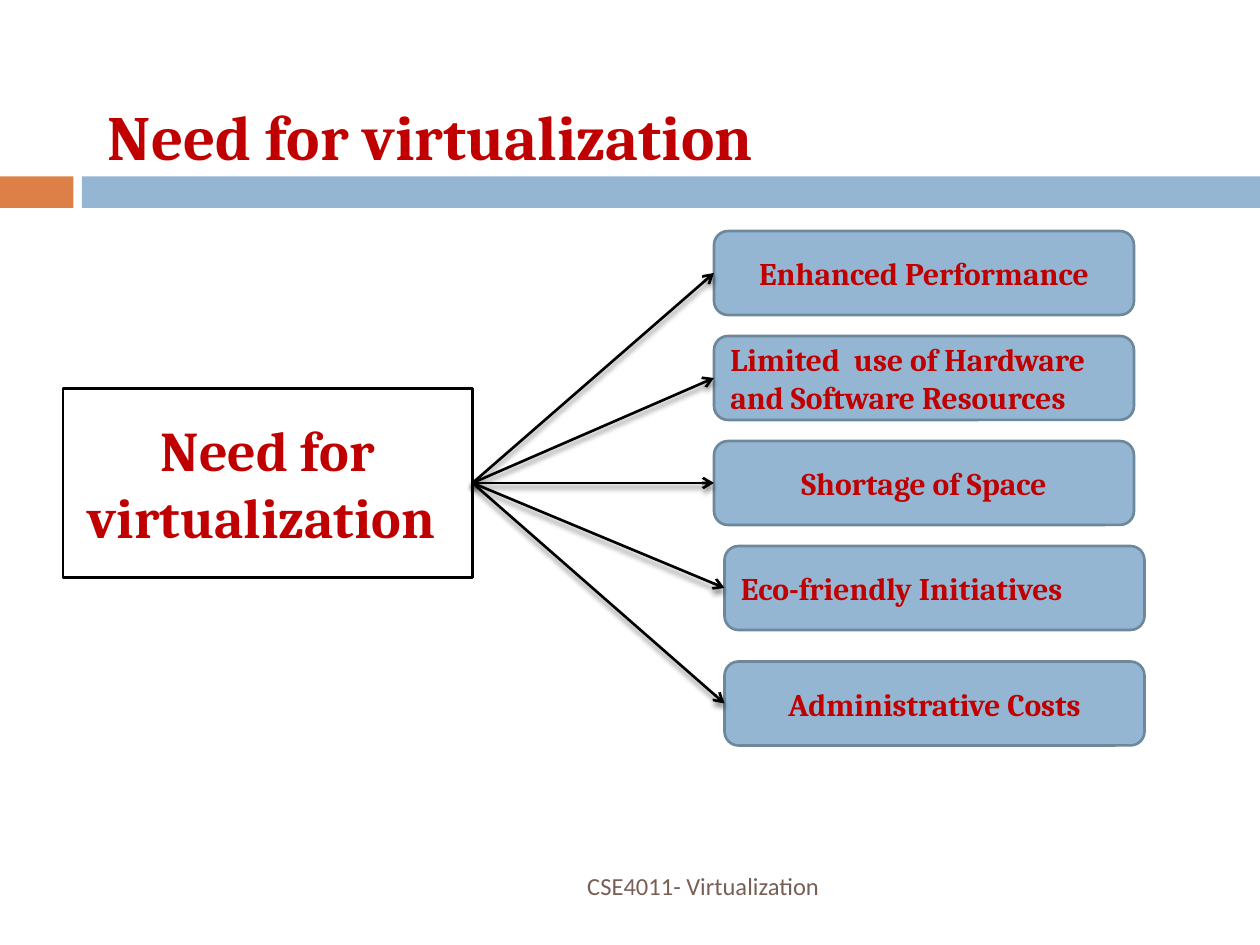
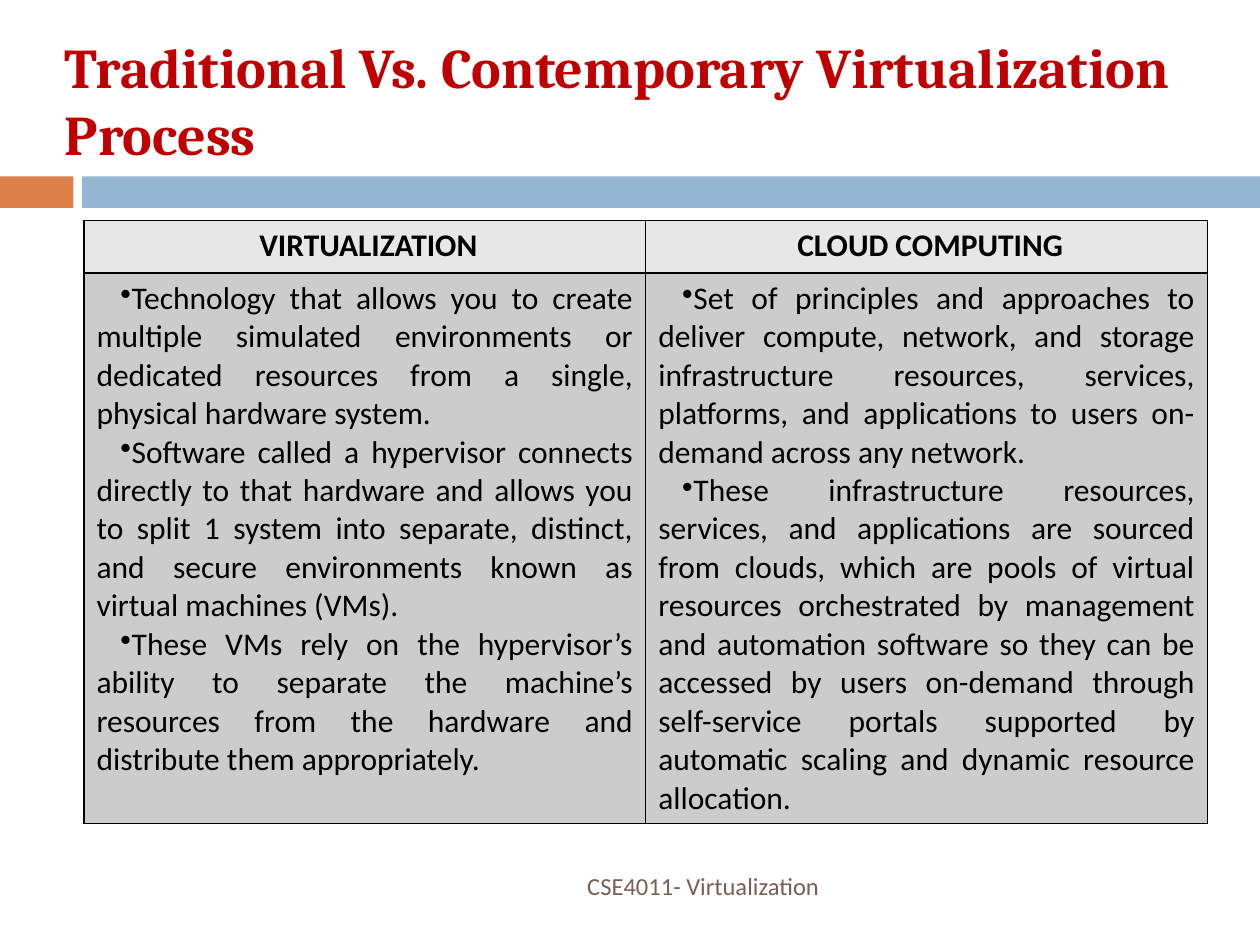
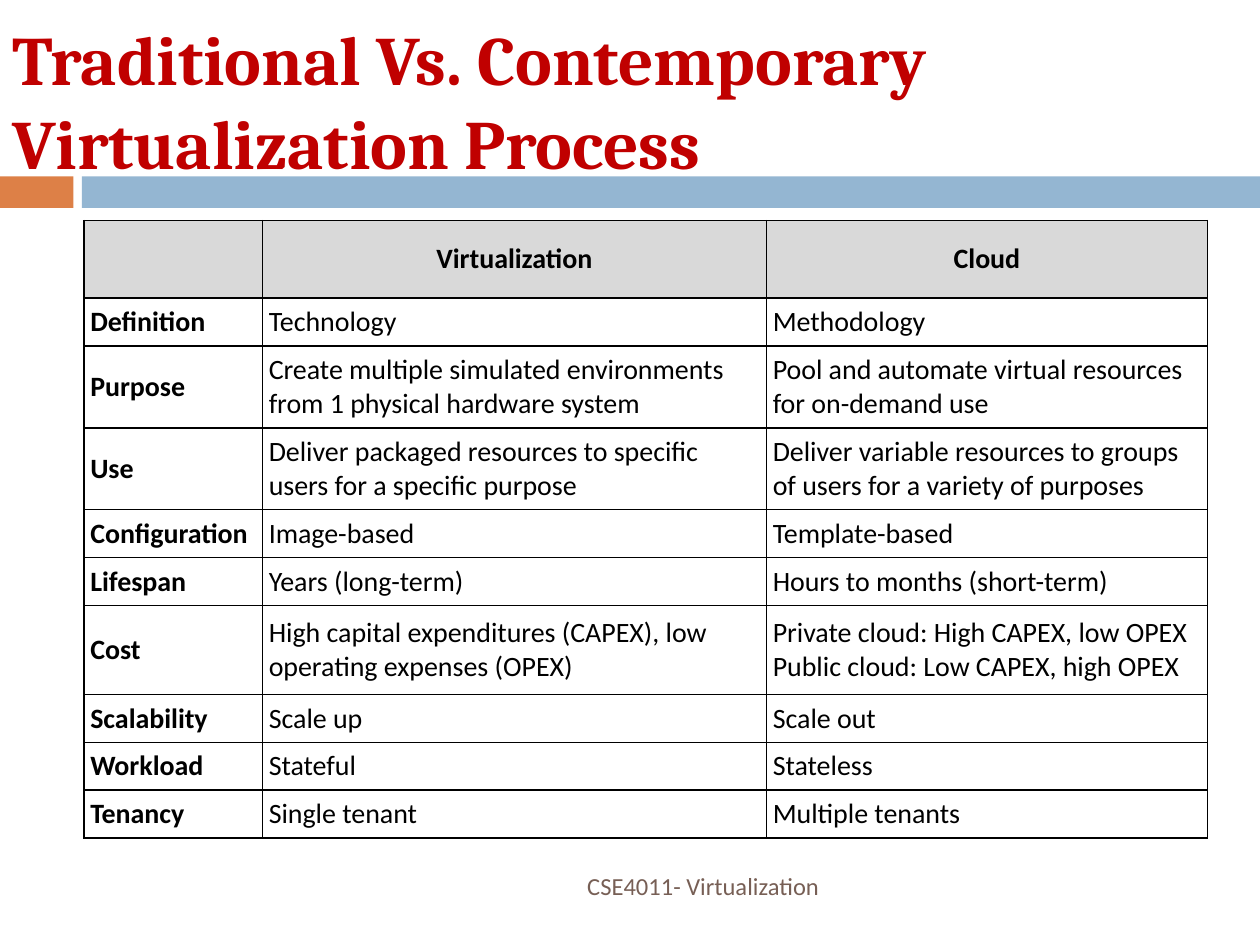
from typing import NamedTuple

from lxml.etree import SubElement as Sub
from pptx import Presentation
from pptx.dml.color import RGBColor as Rgb
from pptx.enum.shapes import MSO_CONNECTOR as Link, MSO_SHAPE as Kind
from pptx.enum.text import MSO_ANCHOR as Anchor, PP_ALIGN as Align
from pptx.oxml.ns import qn
from pptx.util import Emu, Inches, Pt

WIDE, HIGH = Inches(10), Inches(7.5)
COLS, ROWS = 120, 90
BLUE, EDGE, RUST = "94B6D2", "6D879B", "DD8047"
RED, BROWN, BLACK, WHITE = "C00000", "775F55", "000000", "FFFFFF"
LEFT, MID, RIGHT, FULL = Align.LEFT, Align.CENTER, Align.RIGHT, Align.JUSTIFY
SERIF, SANS = "Cambria", "Calibri"
VERSUS = "Traditional Vs. Contemporary Virtualization Process"


class Box(NamedTuple):
    col: float
    row: float
    wide: float
    high: float


class Need(NamedTuple):
    text: str
    col: float
    row: float
    align: Align


class Grid(NamedTuple):
    cols: list[float]
    rows: list[float]


BANDS = [(Box(0, 16.8, 7, 3), RUST), (Box(7.8, 16.8, 112.2, 3), BLUE)]
FOOT = Box(8, 82, 71.2, 4.8)
HUB = Box(6, 37, 39, 18)
NEEDS = [
    Need("Enhanced Performance", 68, 22, MID),
    Need("Limited  use of Hardware and Software Resources", 68, 32, LEFT),
    Need("Shortage of Space", 68, 42, MID),
    Need("Eco-friendly Initiatives", 69, 52, LEFT),
    Need("Administrative Costs", 69, 63, MID),
]
HEADS = [" VIRTUALIZATION", " CLOUD COMPUTING"]
POINTS = [
    [
        "Technology that allows you to create multiple simulated environments or dedicated "
        "resources from a single, physical hardware system. ",
        "Software called a hypervisor connects directly to that hardware and allows you to "
        "split 1 system into separate, distinct, and secure environments known as virtual "
        "machines (VMs). ",
        "These VMs rely on the hypervisor’s ability to separate the machine’s resources from "
        "the hardware and distribute them appropriately.",
    ],
    [
        "Set of principles and approaches to deliver compute, network, and storage "
        "infrastructure resources, services, platforms, and applications to users on-demand "
        "across any network. ",
        "These infrastructure resources, services, and applications are sourced from clouds, "
        "which are pools of virtual resources orchestrated by management and automation "
        "software so they can be accessed by users on-demand through self-service portals "
        "supported by automatic scaling and dynamic resource allocation.",
    ],
]
FACTS = [
    ("", "Virtualization", "Cloud"),
    ("Definition", "Technology", "Methodology"),
    ("Purpose", "Create multiple simulated environments from 1 physical hardware system",
     "Pool and automate virtual resources for on-demand use"),
    ("Use", "Deliver packaged resources to specific users for a specific purpose",
     "Deliver variable resources to groups of users for a variety of purposes"),
    ("Configuration", "Image-based", "Template-based"),
    ("Lifespan", "Years (long-term)", "Hours to months (short-term)"),
    ("Cost", "High capital expenditures (CAPEX), low operating expenses (OPEX)",
     "Private cloud: High CAPEX, low OPEX\vPublic cloud: Low CAPEX, high OPEX"),
    ("Scalability", "Scale up", "Scale out"),
    ("Workload", "Stateful", "Stateless"),
    ("Tenancy", "Single tenant", "Multiple tenants"),
]


def rgb(code: str) -> Rgb:
    return Rgb.from_string(code)


def across(cols: float) -> Emu:
    return Emu(round(WIDE * cols / COLS))


def down(rows: float) -> Emu:
    return Emu(round(HIGH * rows / ROWS))


def place(box: Box) -> tuple[Emu, Emu, Emu, Emu]:
    return across(box.col), down(box.row), across(box.wide), down(box.high)


def write(frame, *lines: str, size: float = 18, font: str = SANS, color: str = BLACK,
          bold: bool = False, align: Align = LEFT, bullet: str = "") -> None:
    for i, line in enumerate(lines):
        para = frame.add_paragraph() if i else frame.paragraphs[0]
        para.text = line
        para.alignment = align
        for style in [para.font, *(run.font for run in para.runs)]:
            style.size, style.name, style.bold = Pt(size), font, bold
            style.color.rgb = rgb(color)
        if bullet:
            props = para._p.get_or_add_pPr()
            props.set("marL", "0")
            props.set("indent", str(Inches(0.19)))
            Sub(props, qn("a:buChar"), char=bullet)


def label(slide, box: Box, text: str, **form) -> None:
    frame = slide.shapes.add_textbox(*place(box)).text_frame
    frame.word_wrap = True
    frame.vertical_anchor = Anchor.MIDDLE
    write(frame, text, **form)


def block(slide, box: Box, fill: str, edge: str = "", kind: Kind = Kind.RECTANGLE):
    shape = slide.shapes.add_shape(kind, *place(box))
    shape.shadow.inherit = False
    shape.fill.solid()
    shape.fill.fore_color.rgb = rgb(fill)
    if edge:
        shape.line.color.rgb = rgb(edge)
        shape.line.width = Pt(1.5)
    else:
        shape.line.fill.background()
    shape.text_frame.word_wrap = True
    shape.text_frame.vertical_anchor = Anchor.MIDDLE
    return shape


def arrow(slide, start, end) -> None:
    line = slide.shapes.add_connector(Link.STRAIGHT, 0, 0, 0, 0)
    line.begin_connect(start, 3)
    line.end_connect(end, 1)
    line.line.color.rgb = rgb(BLACK)
    line.line.width = Pt(1.5)
    Sub(line.line._get_or_add_ln(), qn("a:tailEnd"), type="arrow")
    glow = Sub(Sub(line._element.spPr, qn("a:effectLst")), qn("a:outerShdw"),
               blurRad=str(Pt(3)), dist=str(Pt(2.4)), dir="5400000", rotWithShape="0")
    tint = Sub(glow, qn("a:srgbClr"), val=BLACK)
    Sub(tint, qn("a:alpha"), val="45000")


def table(slide, grid: Grid):
    box = Box(8, 21, sum(grid.cols), sum(grid.rows))
    made = slide.shapes.add_table(len(grid.rows), len(grid.cols), *place(box)).table
    made.first_row = made.horz_banding = False
    for col, wide in zip(made.columns, grid.cols):
        col.width = across(wide)
    for row, high in zip(made.rows, grid.rows):
        row.height = down(high)
    return made


def dress(cell, fill: str) -> None:
    props = cell._tc.get_or_add_tcPr()
    for side in ("lnL", "lnR", "lnT", "lnB"):
        edge = Sub(props, qn(f"a:{side}"), w=str(Pt(1)))
        Sub(Sub(edge, qn("a:solidFill")), qn("a:srgbClr"), val=BLACK)
    if fill:
        cell.fill.solid()
        cell.fill.fore_color.rgb = rgb(fill)
    else:
        cell.fill.background()


def start(deck, title: str, box: Box, size: float):
    slide = deck.slides.add_slide(deck.slide_layouts[6])
    for band, color in BANDS:
        block(slide, band, color)
    label(slide, box, title, size=size, font=SERIF, color=RED, bold=True)
    label(slide, FOOT, "CSE4011- Virtualization", size=14, color=BROWN, align=RIGHT)
    return slide


def needs(deck) -> None:
    slide = start(deck, "Need for virtualization", Box(9.1, 6.4, 106, 13), 36)
    form = {"font": SERIF, "color": RED, "bold": True}
    hub = block(slide, HUB, WHITE, BLACK)
    write(hub.text_frame, "Need for virtualization ", size=32, align=MID, **form)
    for need in NEEDS:
        box = Box(need.col, need.row, 40, 8)
        shape = block(slide, box, BLUE, EDGE, Kind.ROUNDED_RECTANGLE)
        write(shape.text_frame, need.text, align=need.align, **form)
        arrow(slide, hub, shape)


def terms(deck) -> None:
    slide = start(deck, VERSUS, Box(5, 3, 110, 13), 32)
    made = table(slide, Grid([53.5] * 2, [5, 52.45]))
    for i, (head, points) in enumerate(zip(HEADS, POINTS)):
        top, body = made.cell(0, i), made.cell(1, i)
        dress(top, "E7E7E7")
        dress(body, "CCCCCC")
        write(top.text_frame, head, bold=True, align=MID)
        write(body.text_frame, *points, align=FULL, bullet="•")


def facts(deck) -> None:
    slide = start(deck, VERSUS, Box(0, 3, 115, 13), 39.6)
    one, two = 4.55, 7.8
    rows = [7.4, one, two, two, one, one, 8.5, one, one, one]
    made = table(slide, Grid([17, 48, 42], rows))
    for r, fact in enumerate(FACTS):
        for c, text in enumerate(fact):
            cell = made.cell(r, c)
            dress(cell, "" if r else "D9D9D9")
            cell.vertical_anchor = Anchor.MIDDLE
            cell.margin_left = cell.margin_right = Inches(0.05)
            cell.margin_top = cell.margin_bottom = Inches(0.05)
            write(cell.text_frame, text, size=16, bold=r == 0 or c == 0,
                  align=LEFT if r else MID)


def main() -> None:
    deck = Presentation()
    deck.slide_width, deck.slide_height = WIDE, HIGH
    for draw in (needs, terms, facts):
        draw(deck)
    deck.save("out.pptx")


if __name__ == "__main__":
    main()
